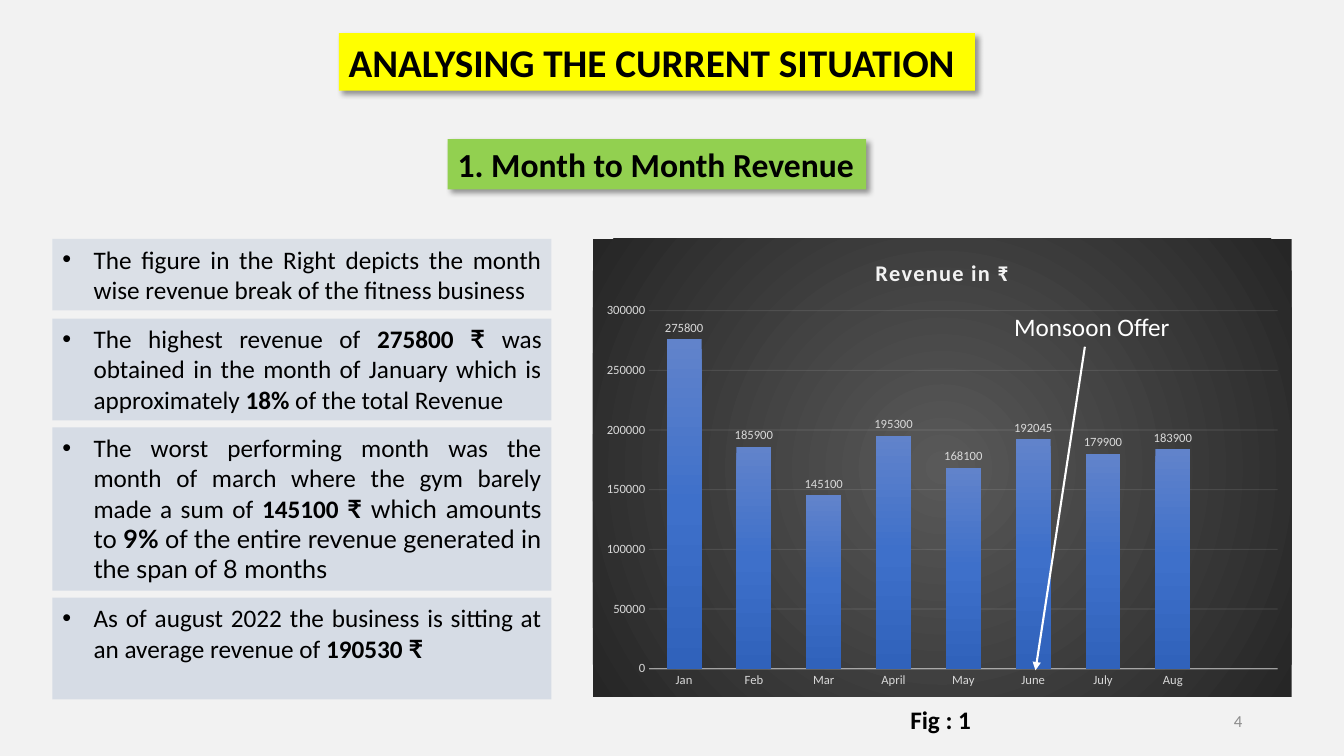
from lxml import etree
from pptx import Presentation
from pptx.chart.data import CategoryChartData
from pptx.dml.color import RGBColor
from pptx.enum import chart as ch, shapes, text
from pptx.oxml import parse_xml
from pptx.oxml.ns import nsdecls, qn
from pptx.util import Inches, Pt

FACE, RUPEE = "Calibri", "Lato"
BLACK, WHITE, PALE, GREY = "000000", "FFFFFF", "F2F2F2", "D9D9D9"
CARD = "D6DCE5"
CARDS = [
    (2.37, 0.71, 80, [("The figure in the Right depicts the month wise revenue "
                       "break of the fitness business", False, FACE)]),
    (3.16, 1.01, 100, [("The highest revenue of ", False, FACE),
                       ("275800 ", True, FACE), ("₹ ", True, RUPEE),
                       ("was obtained in the month of January which is "
                        "approximately ", False, FACE),
                       ("18%", True, FACE),
                       (" of the total Revenue", False, FACE)]),
    (4.24, 1.62, 100, [("The worst performing month was the month of march where "
                        "the gym barely made a sum of ", False, FACE),
                       ("145100 ", True, FACE), ("₹ ", True, RUPEE),
                       ("which amounts to ", False, RUPEE), ("9%", True, RUPEE),
                       (" of the entire revenue generated in the span of "
                        "8 months", False, RUPEE)]),
    (5.93, 1.01, 100, [("As of august 2022 the business is sitting at an average "
                        "revenue of ", False, FACE),
                       ("190530 ", True, FACE), ("₹", True, RUPEE)]),
]
SALES = {"Jan": 275800, "Feb": 185900, "Mar": 145100, "April": 195300,
         "May": 168100, "June": 192045, "July": 179900, "Aug": 183900, "": None}


def rgb(code):
    """Turn a hex string into a colour."""
    return RGBColor.from_string(code)


def style(font, size, color, bold=False, face=FACE):
    """Set the look of a font."""
    font.size, font.bold, font.name = Pt(size), bold, face
    font.color.rgb = rgb(color)


def paint(fill, color, alpha=100):
    """Fill with one colour, partly clear if asked."""
    fill.solid()
    fill.fore_color.rgb = rgb(color)
    if alpha < 100:
        tint = fill._xPr.find(".//" + qn("a:srgbClr"))
        etree.SubElement(tint, qn("a:alpha"), val=str(alpha * 1000))


def rule(line, color, width, alpha):
    """Draw a thin line that is partly clear."""
    line.width = Pt(width)
    paint(line.fill, color, alpha)


def blend(stops, shade):
    """Make a gradient fill element."""
    marks = "".join(f'<a:gs pos="{pos * 1000}"><a:srgbClr val="{color}"/></a:gs>'
                    for pos, color in stops)
    return parse_xml(f'<a:gradFill {nsdecls("a")} rotWithShape="1">'
                     f'<a:gsLst>{marks}</a:gsLst>{shade}</a:gradFill>')


def box(slide, area, color, alpha=100):
    """Add a plain filled rectangle."""
    shape = slide.shapes.add_shape(shapes.MSO_SHAPE.RECTANGLE, *map(Inches, area))
    shape.shadow.inherit = False
    shape.line.fill.background()
    paint(shape.fill, color, alpha)
    shape.text_frame.word_wrap = True
    return shape


def card(slide, top, height, alpha, parts):
    """Add one bulleted card of mixed runs."""
    frame = box(slide, (0.52, top, 4.95, height), CARD, alpha).text_frame
    frame.vertical_anchor = text.MSO_ANCHOR.TOP
    para = frame.paragraphs[0]
    para.alignment = text.PP_ALIGN.JUSTIFY
    props = para._p.get_or_add_pPr()
    props.set("marL", str(Inches(0.31)))
    props.set("indent", str(-Inches(0.31)))
    etree.SubElement(props, qn("a:buFont"), typeface="Arial")
    etree.SubElement(props, qn("a:buChar"), char="•")
    for words, bold, face in parts:
        run = para.add_run()
        run.text = words
        style(run.font, 18, BLACK, bold, face)


def banner(slide, area, color, words, size, anchor, space=1.0):
    """Add a heading on a coloured bar with a soft shadow."""
    shape = box(slide, area, color)
    glow = shape._element.spPr.find(qn("a:effectLst"))
    glow.append(parse_xml(
        f'<a:outerShdw {nsdecls("a")} blurRad="{Pt(4)}" dist="{Pt(3)}" '
        'dir="2700000" algn="tl" rotWithShape="0"><a:srgbClr val="000000">'
        '<a:alpha val="40000"/></a:srgbClr></a:outerShdw>'))
    frame = shape.text_frame
    frame.text, frame.vertical_anchor = words, anchor
    para = frame.paragraphs[0]
    para.alignment, para.line_spacing = text.PP_ALIGN.LEFT, space
    style(para.runs[0].font, size, BLACK, True)


def label(slide, area, words, size, color, bold=False, align=text.PP_ALIGN.LEFT,
          anchor=text.MSO_ANCHOR.TOP):
    """Add a line of free text."""
    frame = slide.shapes.add_textbox(*map(Inches, area)).text_frame
    frame.word_wrap = True
    frame.text, frame.vertical_anchor = words, anchor
    frame.paragraphs[0].alignment = align
    style(frame.paragraphs[0].runs[0].font, size, color, bold)


def axes(chart):
    """Style both axes and the grid."""
    for axis in (chart.category_axis, chart.value_axis):
        axis.major_tick_mark = axis.minor_tick_mark = ch.XL_TICK_MARK.NONE
        style(axis.tick_labels.font, 9, GREY)
    rule(chart.category_axis.format.line, PALE, 1, 54)
    scale = chart.value_axis
    scale.minimum_scale, scale.maximum_scale, scale.major_unit = 0, 300000, 50000
    scale.format.line.fill.background()
    rule(scale.major_gridlines.format.line, PALE, 0.75, 10)


def bars(chart):
    """Style the columns and their values."""
    plot = chart.plots[0]
    plot.vary_by_categories = False
    plot.gap_width, plot.overlap = 100, -24
    plot.has_data_labels = True
    tags = plot.data_labels
    tags.show_value, tags.position = True, ch.XL_LABEL_POSITION.OUTSIDE_END
    style(tags.font, 9, GREY)
    form = plot.series[0].format
    form.fill.solid()
    old = form.fill._xPr.find(qn("a:solidFill"))
    old.getparent().replace(old, blend(
        [(0, "6183CB"), (50, "3E70CA"), (100, "3062BB")],
        '<a:lin ang="5400000" scaled="0"/>'))


def graph(slide):
    """Add the revenue chart on its dark ground."""
    data = CategoryChartData()
    data.categories = list(SALES)
    data.add_series("Revenue in ₹", list(SALES.values()))
    chart = slide.shapes.add_chart(
        ch.XL_CHART_TYPE.COLUMN_CLUSTERED,
        *map(Inches, (5.88, 2.37, 6.93, 4.54)), data).chart
    style(chart.font, 10, BLACK)
    chart.has_legend = False
    frame = chart.chart_title.text_frame
    frame.text = "Revenue in ₹"
    font = frame.paragraphs[0].runs[0].font
    style(font, 16, PALE, True)
    font._element.set("spc", "100")
    axes(chart)
    bars(chart)
    ground = parse_xml(f'<c:spPr {nsdecls("c", "a")}><a:ln><a:noFill/></a:ln></c:spPr>')
    ground.insert(0, blend(
        [(0, "595959"), (100, "262626")],
        '<a:path path="circle"><a:fillToRect l="50000" t="50000" '
        'r="50000" b="50000"/></a:path>'))
    chart._chartSpace.find(qn("c:chart")).addnext(ground)


def arrow(slide, start, end):
    """Add a white arrow."""
    link = slide.shapes.add_connector(
        shapes.MSO_CONNECTOR.STRAIGHT, *map(Inches, start + end))
    link.line.width = Pt(1.5)
    link.line.color.rgb = rgb(WHITE)
    etree.SubElement(link.line._get_or_add_ln(), qn("a:tailEnd"), type="triangle")
    etree.SubElement(link._element.spPr, qn("a:effectLst"))


def main():
    """Build the slide."""
    deck = Presentation()
    deck.slide_width, deck.slide_height = Inches(13.33), Inches(7.5)
    slide = deck.slides.add_slide(deck.slide_layouts[6])
    paint(slide.background.fill, PALE)
    for item in CARDS:
        card(slide, *item)
    graph(slide)
    label(slide, (8.93, 6.94, 0.83, 0.4), "Fig : 1", 18, BLACK, True)
    banner(slide, (3.36, 0.33, 6.31, 0.57), "FFFF00",
           "ANALYSING THE CURRENT SITUATION", 28, text.MSO_ANCHOR.TOP)
    banner(slide, (4.44, 1.38, 4.15, 0.5), "92D050",
           "1. Month to Month Revenue", 24, text.MSO_ANCHOR.BOTTOM, 0.9)
    arrow(slide, (10.76, 3.44), (10.27, 6.65))
    label(slide, (9.96, 3.04, 1.84, 0.4), "Monsoon Offer", 18, WHITE)
    label(slide, (9.42, 6.95, 3, 0.4), "4", 12, "8C8C8C",
          align=text.PP_ALIGN.RIGHT, anchor=text.MSO_ANCHOR.MIDDLE)
    deck.save("out.pptx")


if __name__ == "__main__":
    main()
